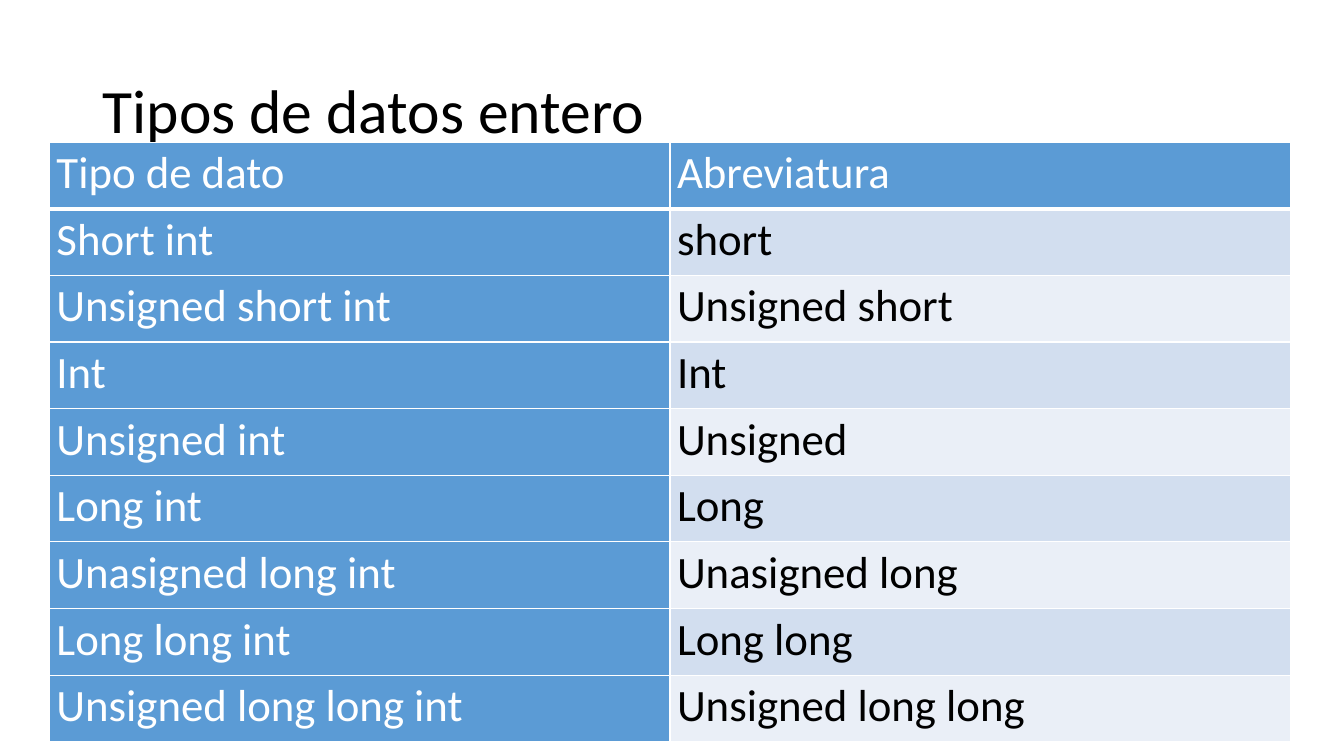
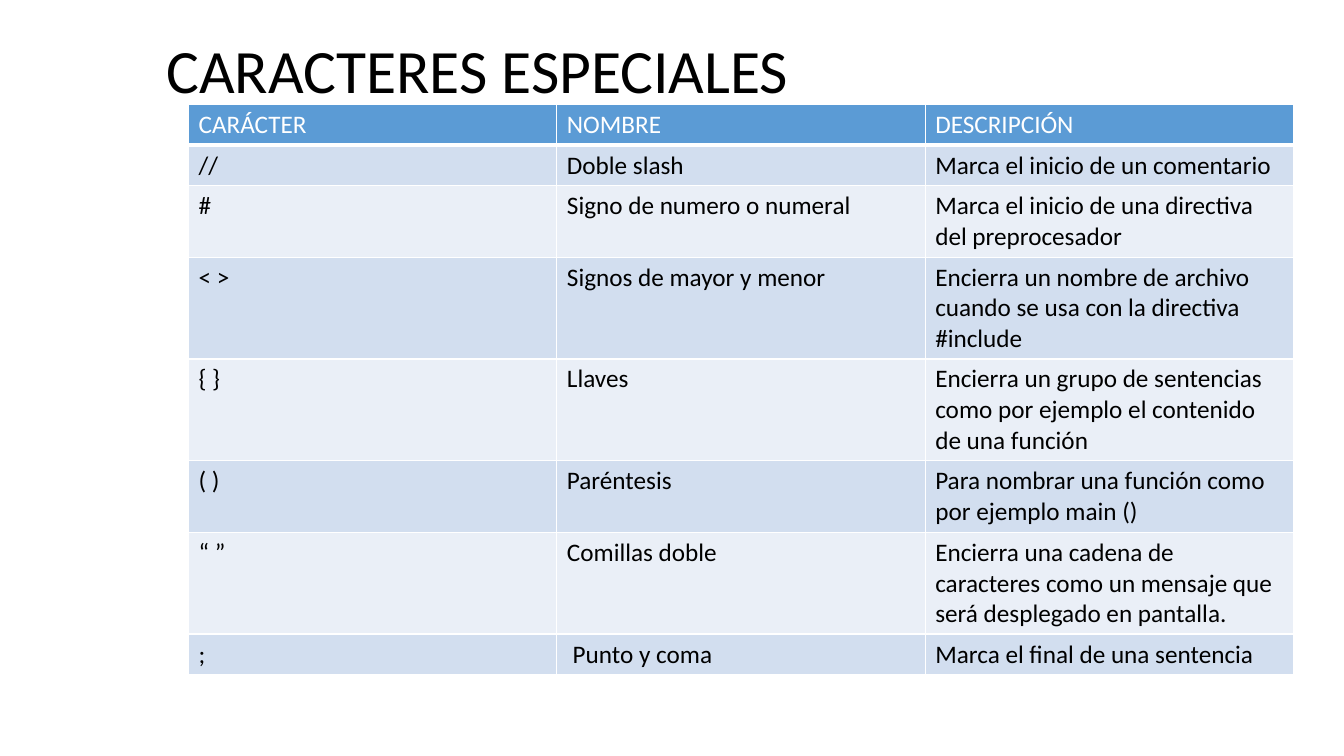
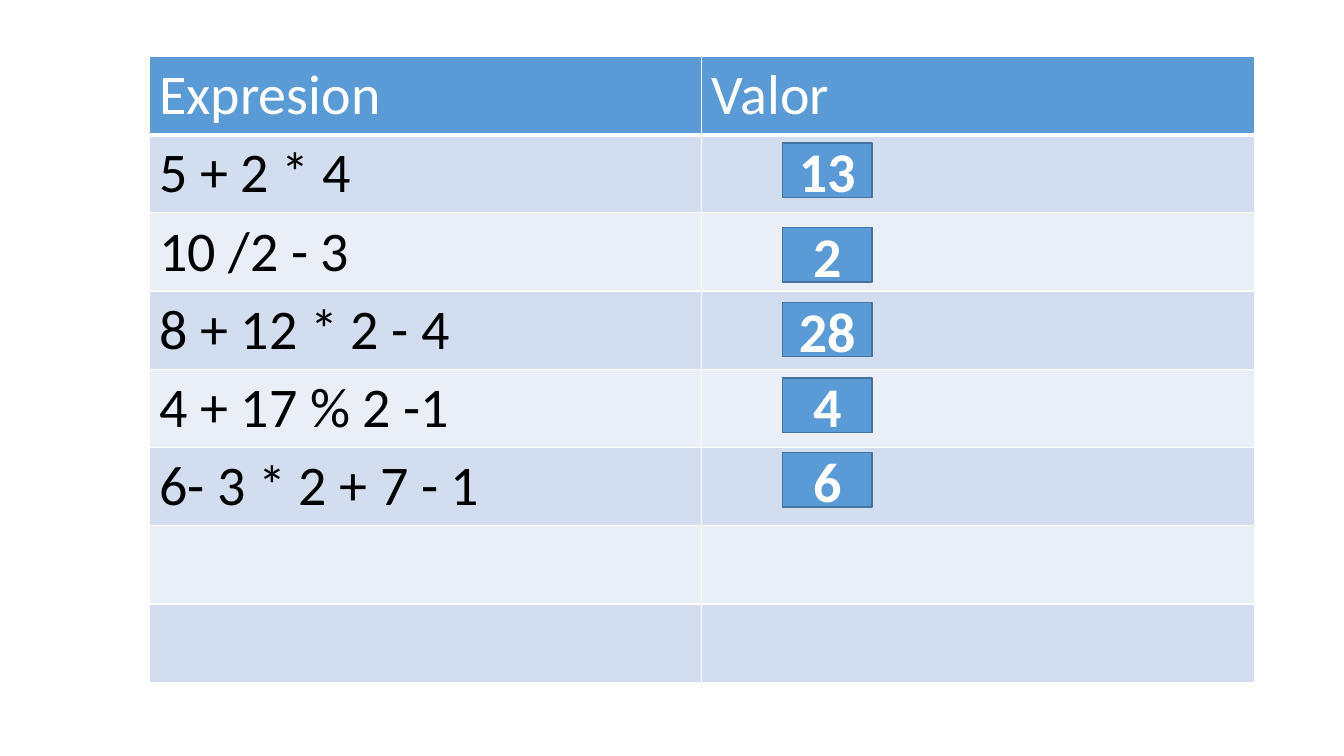
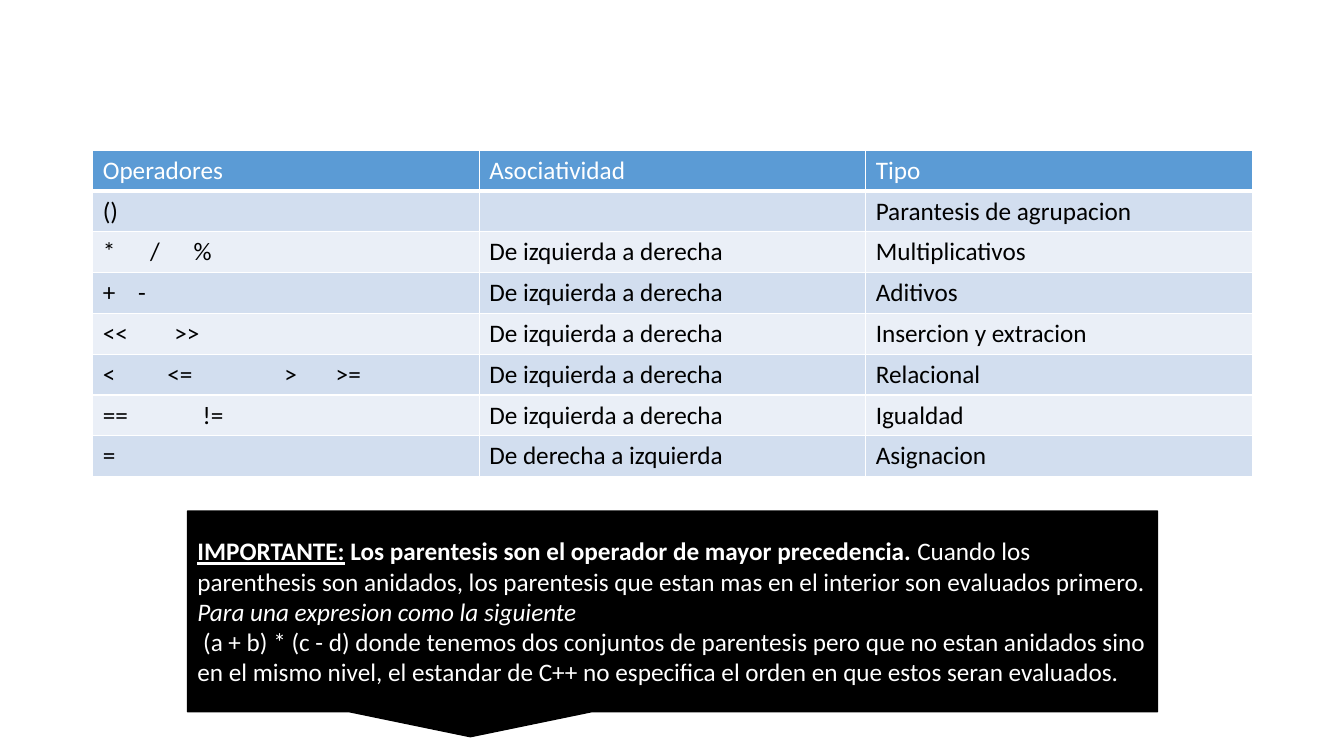
from lxml import etree
from pptx import Presentation
from pptx import util as u
from pptx.dml.color import RGBColor
from pptx.enum import shapes, text
from pptx.oxml import ns

PX = 9144
FONT = "Calibri"
BLUE, BLUE_EDGE = "5B9BD5", "43739E"
BAND_DARK, BAND_LIGHT = "D2DEEF", "EAEFF7"
WHITE, BLACK = "FFFFFF", "000000"
LEFT_TO_RIGHT = "De izquierda a derecha"

INTEGER_TYPES = [
    ("Tipo de dato", "Abreviatura"),
    ("Short int", "short"),
    ("Unsigned short int", "Unsigned short"),
    ("Int", "Int"),
    ("Unsigned int", "Unsigned"),
    ("Long int", "Long"),
    ("Unasigned long int", "Unasigned long"),
    ("Long long int", "Long long"),
    ("Unsigned long long int", "Unsigned long long"),
]
SPECIAL_CHARACTERS = [
    ("CARÁCTER", "NOMBRE", "DESCRIPCIÓN"),
    ("//", "Doble slash", "Marca el inicio de un comentario"),
    ("#", "Signo de numero o numeral",
     "Marca el inicio de una directiva del preprocesador"),
    ("< >", "Signos de mayor y menor",
     "Encierra un nombre de archivo cuando se usa con la directiva #include"),
    ("{ }", "Llaves",
     "Encierra un grupo de sentencias como por ejemplo el contenido de una función"),
    ("( )", "Paréntesis", "Para nombrar una función como por ejemplo main ()"),
    ("“ ”", "Comillas doble",
     "Encierra una cadena de caracteres como un mensaje que será desplegado en pantalla."),
    (";", " Punto y coma", "Marca el final de una sentencia"),
]
EXPRESSIONS = [
    ("Expresion", "Valor"),
    ("5 + 2 * 4", ""),
    ("10 /2 - 3", ""),
    ("8 + 12 * 2 - 4", ""),
    ("4 + 17 % 2 -1", ""),
    ("6- 3 * 2 + 7 - 1", ""),
    ("", ""),
    ("", ""),
]
ANSWERS = [("13", 142), ("2", 226), ("28", 300), ("4", 375), ("6", 449)]
OPERATORS = [
    ("Operadores", "Asociatividad", "Tipo"),
    ("()", "", "Parantesis de agrupacion"),
    ("*\t/\t%", LEFT_TO_RIGHT, "Multiplicativos"),
    ("+\t-", LEFT_TO_RIGHT, "Aditivos"),
    ("<<\t>>", LEFT_TO_RIGHT, "Insercion y extracion"),
    ("<\t<=\t>\t>=", LEFT_TO_RIGHT, "Relacional"),
    ("==\t!=", LEFT_TO_RIGHT, "Igualdad"),
    ("=", "De derecha a izquierda", "Asignacion"),
]
OPERATOR_TABS = {2: (47, 90), 3: (35,), 4: (71,), 5: (64, 180, 231), 6: (99,)}
IMPORTANT_NOTE = [
    [("IMPORTANTE:", {"bold": True, "underline": True}),
     (" Los parentesis son el operador de mayor precedencia. ", {"bold": True}),
     ("Cuando los parenthesis son anidados, los parentesis que estan mas en el "
      "interior son evaluados primero.", {})],
    [("Para una expresion como la siguiente", {"italic": True})],
    [(" (a + b) * (c - d) donde tenemos dos conjuntos de parentesis pero que no "
      "estan anidados sino en el mismo nivel, el estandar de C++ no especifica el "
      "orden en que estos seran evaluados.", {})],
]


def emu(*lengths):
    return [u.Emu(length * PX) for length in lengths]


def rgb(color):
    return RGBColor.from_string(color)


def style_run(run, size, color, bold=False, italic=False, underline=False):
    font = run.font
    font.name, font.size, font.color.rgb = FONT, u.Pt(size), rgb(color)
    font.bold, font.italic, font.underline = bold, italic, underline


def add_title(slide, box, title):
    frame = slide.shapes.add_textbox(*emu(*box)).text_frame
    frame.word_wrap = True
    frame.vertical_anchor = text.MSO_ANCHOR.MIDDLE
    frame.text = title
    paragraph = frame.paragraphs[0]
    paragraph.line_spacing = 0.9
    style_run(paragraph.runs[0], 44, BLACK)


def set_borders(cell, is_header):
    """White rules on all sides, heavier under the header."""
    properties = cell._tc.get_or_add_tcPr()
    for index, side in enumerate(("lnL", "lnR", "lnT", "lnB")):
        width = 3 if is_header and side == "lnB" else 1
        line = etree.Element(ns.qn(f"a:{side}"), w=str(u.Pt(width)))
        fill = etree.SubElement(line, ns.qn("a:solidFill"))
        etree.SubElement(fill, ns.qn("a:srgbClr"), val=WHITE)
        properties.insert(index, line)


def set_tabs(paragraph, positions):
    tabs = etree.SubElement(paragraph._p.get_or_add_pPr(), ns.qn("a:tabLst"))
    for position in emu(*positions):
        etree.SubElement(tabs, ns.qn("a:tab"), pos=str(position), algn="l")


def add_banded_table(slide, box, rows, size, row_heights=(), first_column=False,
                     margins=None, line_spacing=None, tabs=None):
    """Equal columns, and equal rows unless row_heights is given."""
    table = slide.shapes.add_table(len(rows), len(rows[0]), *emu(*box)).table
    for row, height in zip(table.rows, emu(*row_heights)):
        row.height = height
    for row_index, values in enumerate(rows):
        for column_index, value in enumerate(values):
            cell = table.cell(row_index, column_index)
            is_blue = row_index == 0 or (first_column and column_index == 0)
            band = BAND_DARK if row_index % 2 else BAND_LIGHT
            cell.fill.solid()
            cell.fill.fore_color.rgb = rgb(BLUE if is_blue else band)
            set_borders(cell, row_index == 0)
            if margins:
                side, end = emu(*margins)
                cell.margin_left = cell.margin_right = side
                cell.margin_top = cell.margin_bottom = end
            cell.text_frame.text = value
            paragraph = cell.text_frame.paragraphs[0]
            if line_spacing:
                paragraph.line_spacing = line_spacing
            if tabs and column_index == 0 and row_index in tabs:
                set_tabs(paragraph, tabs[row_index])
            for run in paragraph.runs:
                style_run(run, size, WHITE if is_blue else BLACK)


def add_filled_shape(slide, kind, box, fill, edge):
    shape = slide.shapes.add_shape(kind, *emu(*box))
    shape.shadow.inherit = False
    shape.fill.solid()
    shape.fill.fore_color.rgb = rgb(fill)
    shape.line.color.rgb = rgb(edge)
    shape.line.width = u.Pt(1)
    shape.text_frame.vertical_anchor = text.MSO_ANCHOR.MIDDLE
    return shape


def add_answer(slide, box, value):
    shape = add_filled_shape(slide, shapes.MSO_SHAPE.RECTANGLE, box, BLUE, BLUE_EDGE)
    shape.text_frame.text = value
    paragraph = shape.text_frame.paragraphs[0]
    paragraph.alignment = text.PP_ALIGN.CENTER
    style_run(paragraph.runs[0], 40, WHITE, bold=True)


def add_note(slide, box, paragraphs):
    shape = add_filled_shape(slide, shapes.MSO_SHAPE.RECTANGULAR_CALLOUT, box,
                             BLACK, BLACK)
    frame = shape.text_frame
    for index, parts in enumerate(paragraphs):
        paragraph = frame.add_paragraph() if index else frame.paragraphs[0]
        paragraph.alignment = text.PP_ALIGN.LEFT
        for words, emphasis in parts:
            run = paragraph.add_run()
            run.text = words
            style_run(run, 18, WHITE, **emphasis)


def integer_types_slide(slide):
    add_title(slide, (92, 40, 1150, 145), "Tipos de datos entero")
    add_banded_table(slide, (49, 141, 1231, 595), INTEGER_TYPES, 32,
                     first_column=True, margins=(7, 0), line_spacing=1.07)


def special_characters_slide(slide):
    add_title(slide, (155, 20, 1096, 105), "CARACTERES ESPECIALES")
    add_banded_table(slide, (187, 104, 1096, 565), SPECIAL_CHARACTERS, 18,
                     row_heights=(40, 40, 71, 101, 101, 71, 101, 40))


def expressions_slide(slide):
    add_banded_table(slide, (148, 56, 1096, 621), EXPRESSIONS, 40)
    for value, top in ANSWERS:
        add_answer(slide, (776, top, 89, 54), value)


def operators_slide(slide):
    add_banded_table(slide, (92, 149, 1150, 324), OPERATORS, 18, tabs=OPERATOR_TABS)
    add_note(slide, (186, 507, 962, 199), IMPORTANT_NOTE)


def main():
    presentation = Presentation()
    presentation.slide_width, presentation.slide_height = emu(1333, 750)
    blank = presentation.slide_layouts[6]
    for build in (integer_types_slide, special_characters_slide,
                  expressions_slide, operators_slide):
        build(presentation.slides.add_slide(blank))
    presentation.save("out.pptx")


if __name__ == "__main__":
    main()
